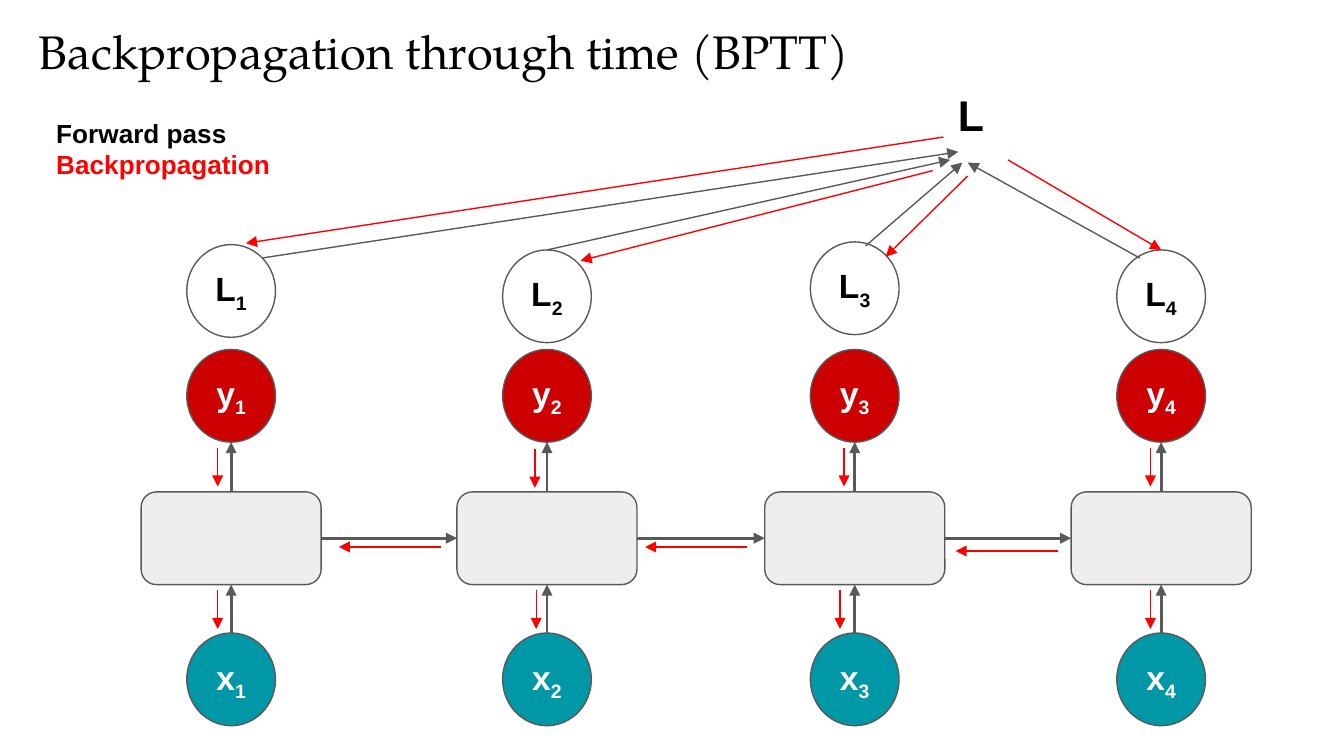
from lxml import etree
from pptx import Presentation
from pptx import util as u
from pptx.dml import color
from pptx.enum import shapes, text
from pptx.oxml import ns

PX = 9144
COLORS = {
    "black": "000000",
    "white": "FFFFFF",
    "gray": "595959",
    "cell": "EEEEEE",
    "input": "0097A7",
    "output": "CC0000",
    "back": "FF0000",
}


def rgb(name):
    return color.RGBColor.from_string(COLORS[name])


class Diagram:
    font = "Arial"
    title_font = "TeX Gyre Pagella"

    def __init__(self, deck):
        self.page = deck.slides.add_slide(deck.slide_layouts[5])

    def style(self, para, size, shade, font=None, bold=True):
        para.font.name = font or self.font
        para.font.size = u.Pt(size)
        para.font.bold = bold
        para.font.color.rgb = rgb(shade)

    def frame(self, shape, anchor=text.MSO_ANCHOR.TOP):
        frame = shape.text_frame
        frame.word_wrap = True
        frame.auto_size = text.MSO_AUTO_SIZE.NONE
        frame.vertical_anchor = anchor
        frame.margin_left = frame.margin_right = 10 * PX
        frame.margin_top = frame.margin_bottom = 10 * PX
        return frame

    def title(self, words, left, top, width, height):
        box = self.page.shapes.title
        box.left, box.top, box.width, box.height = (
            v * PX for v in (left, top, width, height))
        para = self.frame(box).paragraphs[0]
        para.text = words
        para.alignment = text.PP_ALIGN.LEFT
        self.style(para, 25.2, "black", self.title_font, False)

    def label(self, lines, left, top, width, height, size):
        box = self.page.shapes.add_textbox(
            left * PX, top * PX, width * PX, height * PX)
        frame = self.frame(box)
        for index, (words, shade) in enumerate(lines):
            para = frame.add_paragraph() if index else frame.paragraphs[0]
            para.text = words
            self.style(para, size, shade)

    def block(self, kind, center, top, width, height, fill):
        shape = self.page.shapes.add_shape(
            kind, center * PX - width * PX // 2, top * PX, width * PX, height * PX)
        shape.shadow.inherit = False
        shape.fill.solid()
        shape.fill.fore_color.rgb = rgb(fill)
        shape.line.color.rgb = rgb("gray")
        shape.line.width = u.Pt(0.75)
        return shape

    def cell(self, center, top):
        return self.block(shapes.MSO_SHAPE.ROUNDED_RECTANGLE,
                          center, top, 134, 69, "cell")

    def node(self, letter, step, center, top, fill, shade):
        shape = self.block(shapes.MSO_SHAPE.OVAL, center, top, 66, 69, fill)
        para = self.frame(shape, text.MSO_ANCHOR.MIDDLE).paragraphs[0]
        para.alignment = text.PP_ALIGN.CENTER
        para.add_run().text = letter
        span = para.add_run()
        span.text = str(step)
        span.font._element.set("baseline", "-25000")
        self.style(para, 18, shade)
        return shape

    def arrow(self, start, end, shade="gray", weight=0.75):
        line = self.page.shapes.add_connector(
            shapes.MSO_CONNECTOR.STRAIGHT, *(v * PX for v in start + end))
        line.line.color.rgb = rgb(shade)
        line.line.width = u.Pt(weight)
        etree.SubElement(line.line._get_or_add_ln(),
                         ns.qn("a:tailEnd")).set("type", "triangle")
        etree.SubElement(line._element.spPr, ns.qn("a:effectLst"))
        return line

    def join(self, source, source_side, target, target_side):
        line = self.arrow((0, 0), (0, 0), weight=1.5)
        line.begin_connect(source, source_side)
        line.end_connect(target, target_side)

    def rise(self, source, center, bottom):
        line = self.arrow((center, bottom), (center, bottom), weight=1.5)
        line.begin_connect(source, 0)


def main():
    deck = Presentation()
    deck.slide_width, deck.slide_height = u.Inches(10), u.Inches(5.625)
    diagram = Diagram(deck)
    diagram.title("Backpropagation through time (BPTT)", 19, 7, 932, 63)

    columns = [
        (172, 182, (162, 333), (162, 439)),
        (407, 186, (398, 334), (399, 439)),
        (636, 180, (628, 333), (625, 439)),
        (864, 186, (856, 333), (856, 439)),
    ]
    cells = []
    for step, (center, loss_top, *back_starts) in enumerate(columns, 1):
        source = diagram.node("x", step, center, 471, "input", "white")
        diagram.node("y", step, center, 260, "output", "white")
        cell = diagram.cell(center, 366)
        diagram.join(source, 0, cell, 2)
        diagram.rise(cell, center, 329)
        diagram.node("L", step, center, loss_top, "white", "black")
        for x, y in back_starts:
            diagram.arrow((x, y), (x, y + 29), "back")
        cells.append(cell)

    for left, right in zip(cells, cells[1:]):
        diagram.join(left, 3, right, 1)
    for x, y in ((252, 407), (480, 407), (711, 410)):
        diagram.arrow((x + 76, y), (x, y), "back")

    diagram.label([("L", "black")], 703, 56, 94, 63, 23)
    forward = [
        ((195, 192), (713, 113)),
        ((407, 186), (707, 119)),
        ((644, 183), (716, 121)),
        ((848, 192), (720, 121)),
    ]
    backward = [
        ((702, 102), (183, 181)),
        ((694, 127), (432, 194)),
        ((720, 131), (659, 191)),
        ((750, 119), (864, 186)),
    ]
    for shade, routes in (("gray", forward), ("back", backward)):
        for start, end in routes:
            diagram.arrow(start, end, shade)

    diagram.label([("Forward pass", "black"), ("Backpropagation", "back")],
                  32, 77, 219, 67, 14)
    deck.save("out.pptx")


if __name__ == "__main__":
    main()
